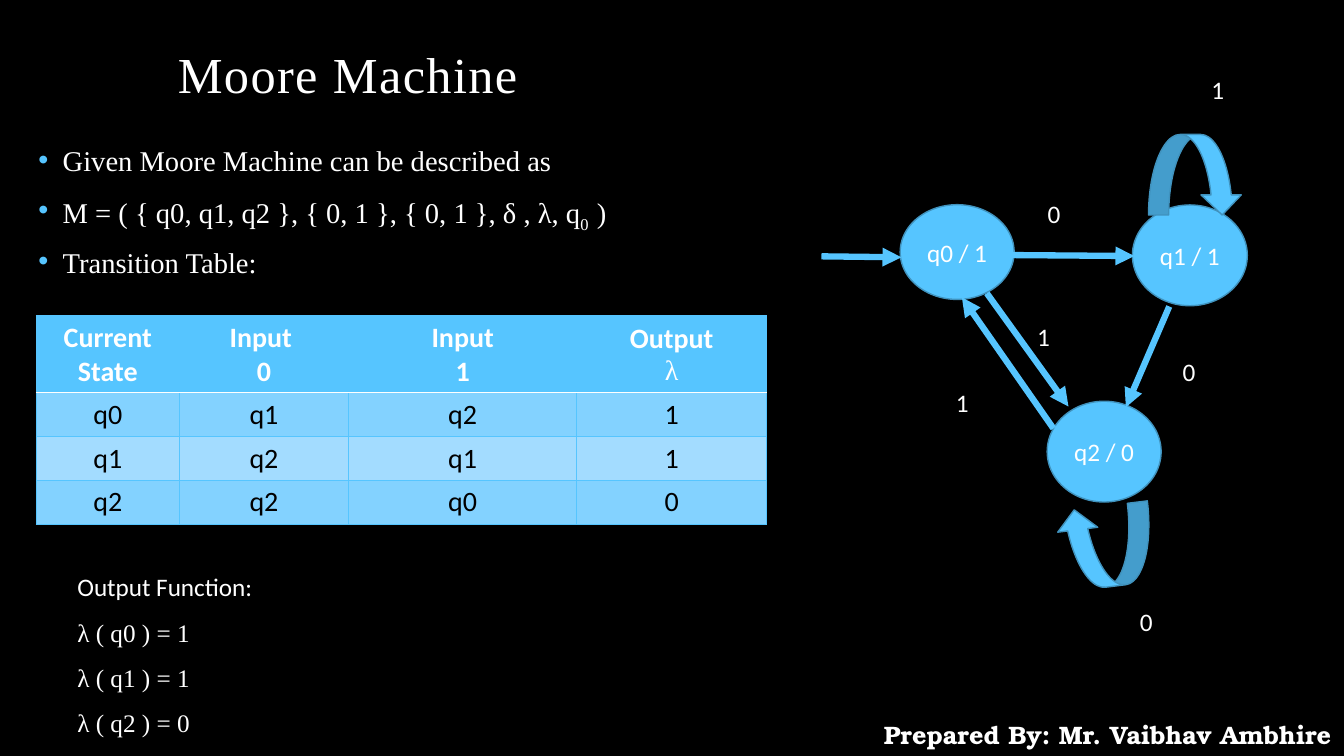
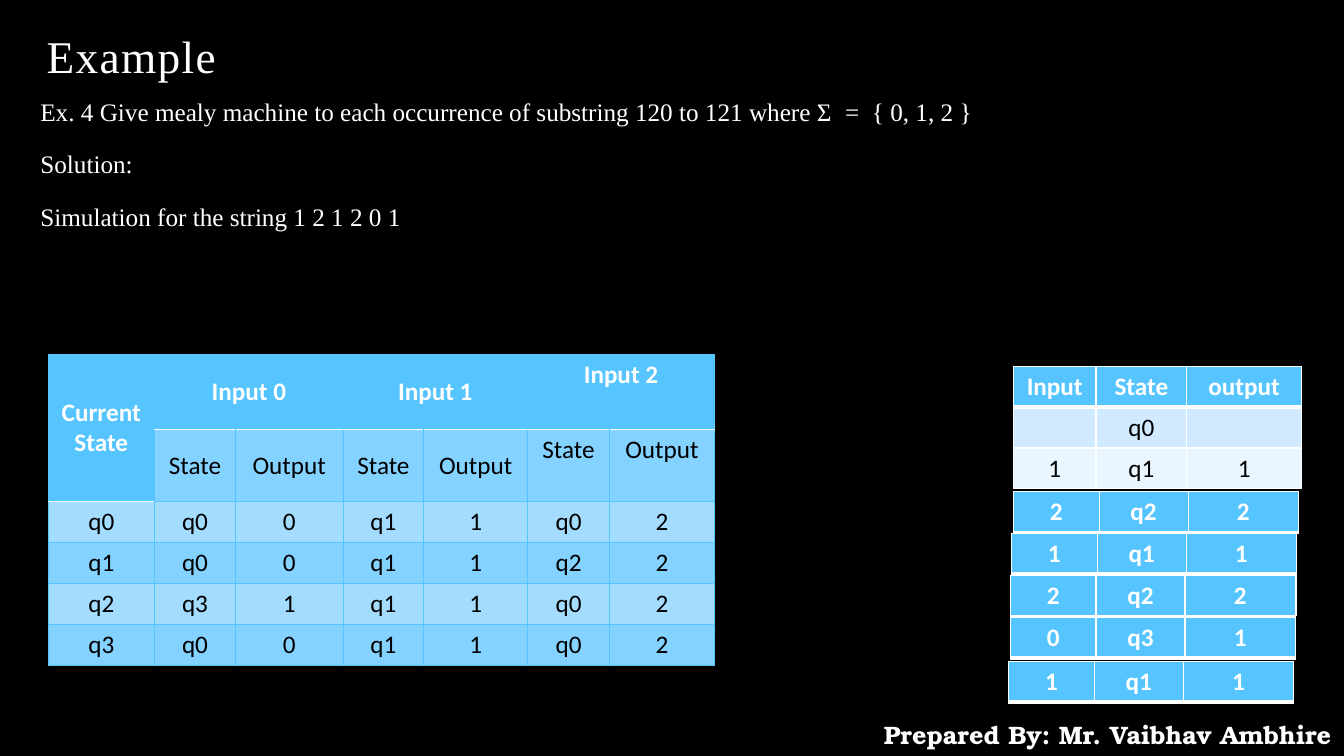
"""Build two slides on Moore and Mealy machines."""
from dataclasses import dataclass
from typing import NamedTuple

from lxml.etree import SubElement
from pptx import Presentation
from pptx.dml.color import RGBColor
from pptx.enum.shapes import MSO_CONNECTOR, MSO_SHAPE
from pptx.enum.text import MSO_ANCHOR, PP_ALIGN
from pptx.oxml.ns import qn
from pptx.slide import Slide
from pptx.util import Pt


@dataclass(frozen=True)
class Theme:
    black: RGBColor = RGBColor(0, 0, 0)
    white: RGBColor = RGBColor(255, 255, 255)
    accent: RGBColor = RGBColor.from_string("56C5FF")
    outline: RGBColor = RGBColor.from_string("4092BD")
    band: RGBColor = RGBColor.from_string("83D2FF")
    light_band: RGBColor = RGBColor.from_string("A3DCFF")
    pale: RGBColor = RGBColor.from_string("D1EAFF")
    palest: RGBColor = RGBColor.from_string("E9F5FF")
    sans: str = "Calibri"
    serif: str = "Times New Roman"
    footer_font: str = "TeX Gyre Bonum"
    title: float = 36
    small_title: float = 32.4
    body: float = 20.4
    table: float = 20
    text: float = 18


T = Theme()


class Box(NamedTuple):
    x: float
    y: float
    w: float
    h: float


class Edge(NamedTuple):
    color: RGBColor
    width: float


@dataclass(frozen=True)
class Run:
    text: str
    font: str = T.sans
    size: float = T.text
    bold: bool = False
    color: RGBColor = T.white
    spacing: float = 0
    sub: bool = False


@dataclass(frozen=True)
class Para:
    runs: tuple[Run, ...]
    align: PP_ALIGN = PP_ALIGN.LEFT
    line: float = 1.0
    before: float = 0
    bullet: bool = False


@dataclass(frozen=True)
class Grid:
    left: float
    top: float
    cols: tuple[float, ...]
    rows: tuple[float, ...]
    cells: tuple[tuple[str, ...], ...]
    bands: tuple[RGBColor, ...]
    edge: Edge
    under: Edge
    size: float = T.text
    merges: tuple[tuple[int, int, int, int], ...] = ()
    top_from: int = 99


class Node(NamedTuple):
    text: str
    box: Box


class Arrow(NamedTuple):
    x1: float
    y1: float
    x2: float
    y2: float


class Loop(NamedTuple):
    box: Box
    turn: float


class Label(NamedTuple):
    text: str
    x: float
    y: float


class Strip(NamedTuple):
    left: float
    top: float
    cells: tuple[tuple[str, ...], ...]


def write(tf, paras: list[Para]) -> None:
    """Fill a text frame run by run."""
    for i, para in enumerate(paras):
        p = tf.add_paragraph() if i else tf.paragraphs[0]
        if para.bullet:
            pPr = p._p.get_or_add_pPr()
            pPr.set("marL", str(Pt(17.3)))
            pPr.set("indent", str(-Pt(17.3)))
            color = SubElement(pPr, qn("a:buClr"))
            SubElement(color, qn("a:srgbClr"), val=str(T.accent))
            SubElement(pPr, qn("a:buFont"), typeface="Arial")
            SubElement(pPr, qn("a:buChar"), char="•")
        p.alignment = para.align
        p.line_spacing = para.line
        p.space_before = Pt(para.before if i else 0)
        for run in para.runs:
            r = p.add_run()
            r.text = run.text
            r.font.name, r.font.size = run.font, Pt(run.size)
            r.font.bold = run.bold
            r.font.color.rgb = run.color
            rPr = r._r.get_or_add_rPr()
            if run.spacing:
                rPr.set("spc", str(round(run.spacing * 100)))
            if run.sub:
                rPr.set("baseline", "-25000")


def add_text(s: Slide, box: Box, paras: list[Para], anchor: MSO_ANCHOR = MSO_ANCHOR.TOP) -> None:
    """Add a wrapping text box."""
    tf = s.shapes.add_textbox(*map(Pt, box)).text_frame
    tf.word_wrap = True
    tf.vertical_anchor = anchor
    write(tf, paras)


def add_title(s: Slide, text: str, box: Box, size: float) -> None:
    """Add a letter-spaced serif title."""
    run = Run(text, T.serif, size, spacing=1)
    add_text(s, box, [Para((run,), line=0.9)], MSO_ANCHOR.BOTTOM)


def add_shape(s: Slide, kind: MSO_SHAPE, box: Box):
    """Add an outlined accent shape."""
    sp = s.shapes.add_shape(kind, *map(Pt, box))
    sp.shadow.inherit = False
    sp.fill.solid()
    sp.fill.fore_color.rgb = T.accent
    sp.line.color.rgb = T.outline
    sp.line.width = Pt(1)
    return sp


def add_node(s: Slide, node: Node) -> None:
    """Add a state circle."""
    tf = add_shape(s, MSO_SHAPE.OVAL, node.box).text_frame
    tf.word_wrap = False
    tf.vertical_anchor = MSO_ANCHOR.MIDDLE
    write(tf, [Para((Run(node.text),), PP_ALIGN.CENTER)])


def add_arrow(s: Slide, arrow: Arrow) -> None:
    """Add a transition arrow."""
    cxn = s.shapes.add_connector(MSO_CONNECTOR.STRAIGHT, *map(Pt, arrow))
    cxn.line.color.rgb = T.accent
    cxn.line.width = Pt(4.5)
    spPr = cxn._element.spPr
    SubElement(spPr.find(qn("a:ln")), qn("a:tailEnd"), type="triangle")
    SubElement(spPr, qn("a:effectLst"))


def add_border(cell, side: str, edge: Edge) -> None:
    """Draw one side of a table cell."""
    ln = SubElement(cell._tc.get_or_add_tcPr(), qn(f"a:ln{side}"), w=str(Pt(edge.width)))
    fill = SubElement(ln, qn("a:solidFill"))
    SubElement(fill, qn("a:srgbClr"), val=str(edge.color))


def add_grid(s: Slide, grid: Grid) -> None:
    """Add a table whose accent cells are headers."""
    frame = s.shapes.add_table(len(grid.rows), len(grid.cols), Pt(grid.left), Pt(grid.top),
                               Pt(sum(grid.cols)), Pt(sum(grid.rows)))
    tbl = frame.table
    tbl.first_row = tbl.horz_banding = False
    for col, width in zip(tbl.columns, grid.cols):
        col.width = Pt(width)
    for row, height in zip(tbl.rows, grid.rows):
        row.height = Pt(height)
    heads = {(i, j) for i, fill in enumerate(grid.bands) if fill == T.accent
             for j in range(len(grid.cols))}
    for r1, c1, r2, c2 in grid.merges:
        tbl.cell(r1, c1).merge(tbl.cell(r2, c2))
        heads |= {(i, j) for i in range(r1, r2 + 1) for j in range(c1, c2 + 1)}
    for i, texts in enumerate(grid.cells):
        for j, text in enumerate(texts):
            cell, head = tbl.cell(i, j), (i, j) in heads
            below_head = (i - 1, j) in heads
            cell.vertical_anchor = MSO_ANCHOR.TOP if j >= grid.top_from else MSO_ANCHOR.MIDDLE
            for side in "LR":
                add_border(cell, side, grid.edge)
            add_border(cell, "T", grid.under if below_head else grid.edge)
            add_border(cell, "B", grid.under if head else grid.edge)
            cell.fill.solid()
            cell.fill.fore_color.rgb = T.accent if head else grid.bands[i]
            if text:
                write(cell.text_frame, [
                    Para((Run(part, T.serif if part == "λ" else T.sans, grid.size,
                              head and part != "λ", T.white if head else T.black),),
                         PP_ALIGN.CENTER)
                    for part in text.split("\n")])


def new_slide(prs: Presentation) -> Slide:
    """Add a blank slide with the footer."""
    s = prs.slides.add_slide(prs.slide_layouts[6])
    footer = Run("Prepared By: Mr. Vaibhav Ambhire", T.footer_font, bold=True)
    add_text(s, Box(622, 510.5, 338.4, 28.8), [Para((footer,), PP_ALIGN.CENTER)])
    return s


def moore_slide(prs: Presentation) -> None:
    """Build the Moore machine slide."""
    s = new_slide(prs)
    add_title(s, "Moore Machine", Box(119.9, 30.2, 718.6, 48.2), T.title)
    lines = (
        (Run("Given Moore Machine can be described as", T.serif, T.body),),
        (Run("M = ( { q0, q1, q2 }, { 0, 1 }, { 0, 1 }, δ , λ, q", T.serif, T.body),
         Run("0", T.serif, T.body, sub=True), Run(" ", T.serif, T.body, spacing=0.8),
         Run(")", T.serif, T.body)),
        (Run("Transition Table:", T.serif, T.body),),
    )
    add_text(s, Box(20.4, 105.4, 575, 96.5),
             [Para(runs, line=0.7, before=18, bullet=True) for runs in lines])
    for node in (Node("q0 / 1", Box(643, 146.2, 81.4, 67.7)),
                 Node("q1 / 1", Box(808.9, 146.4, 82.1, 72)),
                 Node("q2 / 0", Box(748, 286.6, 81.4, 72))):
        add_node(s, node)
    for arrow in (Arrow(586.8, 183.1, 643.9, 183.8), Arrow(722.2, 182.2, 810.3, 182.9),
                  Arrow(835.2, 218.9, 804.2, 290.9), Arrow(704.9, 209.5, 763.2, 290.4),
                  Arrow(752.4, 306, 687.1, 212.4)):
        add_arrow(s, arrow)
    for loop in (Loop(Box(820.4, 96, 67, 57.6), 0), Loop(Box(756.3, 361.6, 67, 57.6), 173)):
        add_shape(s, MSO_SHAPE.CURVED_DOWN_ARROW, loop.box).rotation = loop.turn
    for label in (Label("0", 741.3, 138.2), Label("1", 858.2, 49.3), Label("0", 837.7, 251.3),
                  Label("0", 807.1, 429.8), Label("1", 675.7, 272.9), Label("1", 733.7, 226.1)):
        add_text(s, Box(label.x, label.y, 31.7, 28.8), [Para((Run(label.text),))])
    add_grid(s, Grid(
        25.9, 225.3, (102.2, 121, 162.9, 135.6), (54.8, 31.2, 31.2, 31.2),
        (("Current State", "Input \n0", "Input\n1", "Output\nλ"),
         ("q0", "q1", "q2", "1"), ("q1", "q2", "q1", "1"), ("q2", "q2", "q0", "0")),
        (T.accent, T.band, T.light_band, T.band),
        Edge(T.accent, 0.5), Edge(T.white, 1), T.table))
    runs = [Run("Output Function:")]
    runs += [Run(f"λ ( q{i} ) = {out}", T.serif) for i, out in enumerate((1, 1, 0))]
    add_text(s, Box(48.2, 394, 216, 134.6), [Para((run,), line=1.5) for run in runs])


def example_slide(prs: Presentation) -> None:
    """Build the Mealy machine example slide."""
    s = new_slide(prs)
    add_title(s, "Example", Box(26.2, 25.2, 718.6, 38.2), T.small_title)
    wide_space = Run(" ", T.serif, spacing=4.5)
    lines = (
        (Run("Ex. 4 Give mealy machine to each occurrence of substring 120 to 121 where Σ",
             T.serif), wide_space, Run("=", T.serif), wide_space, Run("{ 0, 1, 2 }", T.serif)),
        (Run("Solution:", T.serif),),
        (Run("Simulation for the string 1 2 1 2 0 1", T.serif),),
    )
    add_text(s, Box(21.8, 67.7, 885.6, 107.3),
             [Para(runs, line=0.9, before=18) for runs in lines])
    add_grid(s, Grid(
        34.2, 253, (76.3, 57.6, 77, 57.6, 74.2, 58.5, 75), (54, 51.1) + (29.3,) * 4,
        (("Current State", "Input 0", "", "Input 1", "", "Input 2", ""),
         ("",) + ("State", "Output") * 3,
         ("q0", "q0", "0", "q1", "1", "q0", "2"), ("q1", "q0", "0", "q1", "1", "q2", "2"),
         ("q2", "q3", "1", "q1", "1", "q0", "2"), ("q3", "q0", "0", "q1", "1", "q0", "2")),
        (T.accent,) + (T.band, T.light_band) * 2 + (T.band,),
        Edge(T.accent, 0.5), Edge(T.white, 1),
        merges=((0, 0, 1, 0), (0, 1, 0, 2), (0, 3, 0, 4), (0, 5, 0, 6)), top_from=5))
    thin, thick = Edge(T.white, 1), Edge(T.white, 3)
    add_grid(s, Grid(723.9, 261.6, (59, 64.8, 82.1), (29.2,) * 3,
                     (("Input", "State", "output"), ("", "q0", ""), ("1", "q1", "1")),
                     (T.accent, T.pale, T.palest), thin, thick))
    for strip in (Strip(723.9, 351, (("2", "q2", "2"),)),
                  Strip(722.5, 380.9, (("1", "q1", "1"), ("", "", ""))),
                  Strip(721.7, 411.1, (("2", "q2", "2"),)),
                  Strip(721.7, 440.9, (("0", "q3", "1"),)),
                  Strip(720.4, 472.3, (("1", "q1", "1"),))):
        count = len(strip.cells)
        add_grid(s, Grid(strip.left, strip.top, (61.2, 63.6, 78.8), (29.3,) * count,
                         strip.cells, (T.accent, T.pale)[:count], thin, thick))


def main() -> None:
    """Build and save the presentation."""
    prs = Presentation()
    prs.slide_width, prs.slide_height = Pt(960), Pt(540)
    fill = prs.slide_master.background.fill
    fill.solid()
    fill.fore_color.rgb = T.black
    moore_slide(prs)
    example_slide(prs)
    prs.save("out.pptx")


if __name__ == "__main__":
    main()
